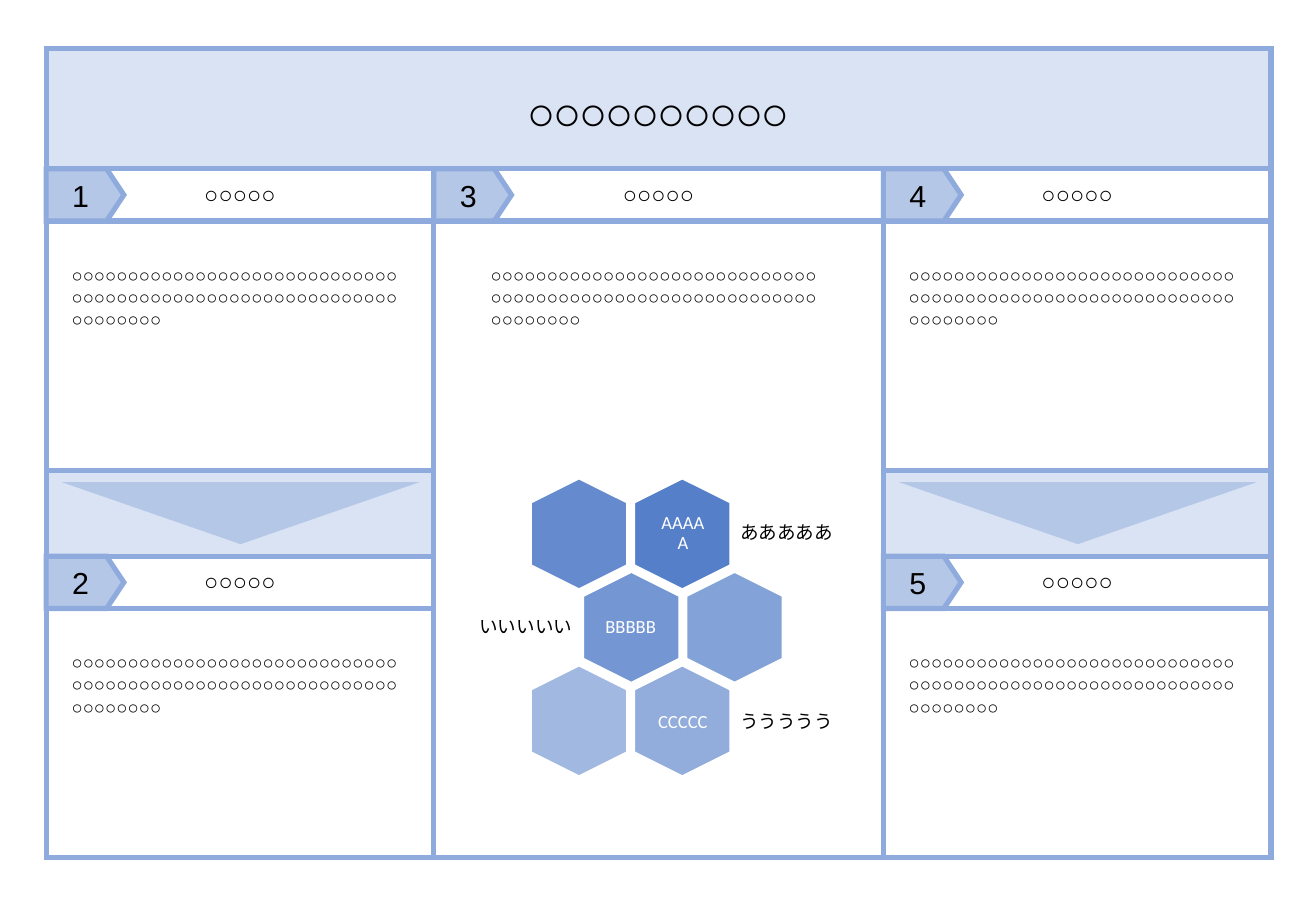
from lxml import etree
from pptx import Presentation
from pptx.dml.color import RGBColor
from pptx.enum.shapes import MSO_SHAPE as Shape
from pptx.enum.text import MSO_ANCHOR as Anchor, MSO_AUTO_SIZE as AutoSize, PP_ALIGN as Align
from pptx.oxml.ns import qn
from pptx.util import Inches, Pt

BLACK = RGBColor(0x00, 0x00, 0x00)
WHITE = RGBColor(0xFF, 0xFF, 0xFF)
PALE = RGBColor(0xDA, 0xE3, 0xF3)
LIGHT = RGBColor(0xB4, 0xC7, 0xE7)
BORDER = RGBColor(0x8F, 0xAA, 0xDC)
BLUE = RGBColor(0x44, 0x72, 0xC4)

LEFT, CENTRE, RIGHT = 0.38, 3.57, 7.27
SIDE_WIDTH, CENTRE_WIDTH = 3.19, 3.7
UPPER, LOWER = 1.39, 4.58
HEADER_HEIGHT, BODY_HEIGHT, BAND_HEIGHT = 0.43, 2.05, 0.71
HEXAGON_WIDTH, HEXAGON_HEIGHT = 0.91, 0.79

HEXAGONS = [
    (5.16, 4, 90), (4.31, 4, 82), (4.74, 4.77, 74),
    (5.59, 4.77, 66), (5.16, 5.54, 58), (4.31, 5.54, 50),
]
HEXAGON_LABELS = [
    ("AAAAA", 5.35, 4.08, "あああああ", 6.04, Align.LEFT),
    ("BBBBB", 4.92, 4.85, "いいいいい", 3.75, Align.RIGHT),
    ("CCCCC", 5.35, 5.63, "ううううう", 6.04, Align.LEFT),
]


def add_block(page, kind, left, top, width, height, fill=None, line=BORDER, weight=3):
    block = page.shapes.add_shape(kind, Inches(left), Inches(top), Inches(width), Inches(height))
    block.shadow.inherit = False
    if fill is None:
        block.fill.background()
    else:
        block.fill.solid()
        block.fill.fore_color.rgb = fill
    if line is None:
        block.line.fill.background()
    else:
        block.line.color.rgb = line
        block.line.width = Pt(weight)
        outline = block.line._get_or_add_ln()
        etree.SubElement(outline, qn("a:miter"), lim="800000")
    return block


def write(box, text, size, align, font="Arial", color=BLACK):
    para = box.text_frame.paragraphs[0]
    para.alignment = align
    span = para.add_run()
    span.text = text
    span.font.size = Pt(size)
    span.font.name = font
    span.font.color.rgb = color
    return span


def add_text(page, text, left, top, width, height, size, align):
    box = page.shapes.add_textbox(Inches(left), Inches(top), Inches(width), Inches(height))
    box.text_frame.word_wrap = True
    box.text_frame.auto_size = AutoSize.SHAPE_TO_FIT_TEXT
    return write(box, text, size, align)


def add_label(page, text, left, top, width, height, align, color):
    box = page.shapes.add_textbox(Inches(left), Inches(top), Inches(width), Inches(height))
    frame = box.text_frame
    frame.word_wrap = True
    frame.vertical_anchor = Anchor.MIDDLE
    frame.margin_left = frame.margin_right = Inches(0.05)
    frame.margin_top = frame.margin_bottom = Inches(0.05)
    write(box, text, 11, align, "Calibri", color)
    frame.paragraphs[0].line_spacing = 0.9


def add_title(page):
    add_block(page, Shape.RECTANGLE, LEFT, 0.4, 10.08, 0.99, PALE)
    span = add_text(page, "○" * 10, 1.54, 0.64, 7.75, 0.57, 28, Align.CENTER)
    span.font.bold = True
    span._r.get_or_add_rPr().set("spc", "-150")


def add_panel(page, number, left, top, width, height, inset):
    body_top = top + HEADER_HEIGHT
    add_block(page, Shape.RECTANGLE, left, body_top, width, height)
    add_block(page, Shape.RECTANGLE, left, top, width, HEADER_HEIGHT)
    add_text(page, "○" * 5, left + width / 2 - 0.71, top + 0.04, 1.42, 0.34, 14, Align.CENTER)
    add_text(page, "○" * 66, left + inset, body_top + 0.3, 2.95, 0.84, 11, Align.JUSTIFY)
    tag = add_block(page, Shape.PENTAGON, left, top, 0.64, HEADER_HEIGHT, LIGHT)
    tag.adjustments[0] = 0.332
    tag.text_frame.vertical_anchor = Anchor.MIDDLE
    write(tag, number, 18, Align.CENTER)


def add_arrow_band(page, left):
    top = UPPER + HEADER_HEIGHT + BODY_HEIGHT
    add_block(page, Shape.RECTANGLE, left, top, SIDE_WIDTH, BAND_HEIGHT, PALE)
    arrow = add_block(page, Shape.ISOSCELES_TRIANGLE, left + 0.13, top + 0.1, 2.94, 0.51, LIGHT, None)
    arrow.rotation = 180


def add_side_column(page, left, upper_number, lower_number):
    add_panel(page, upper_number, left, UPPER, SIDE_WIDTH, BODY_HEIGHT, 0.11)
    add_arrow_band(page, left)
    add_panel(page, lower_number, left, LOWER, SIDE_WIDTH, BODY_HEIGHT, 0.11)


def add_hexagon(page, left, top, opacity):
    hexagon = add_block(page, Shape.HEXAGON, left, top, HEXAGON_WIDTH, HEXAGON_HEIGHT, BLUE, WHITE, 1)
    hexagon.rotation = 90
    hexagon.adjustments[0] = 0.25
    color = hexagon._element.spPr.find(qn("a:solidFill")).find(qn("a:srgbClr"))
    etree.SubElement(color, qn("a:alpha"), val=str(opacity * 1000))


def add_honeycomb(page):
    for left, top, opacity in HEXAGONS:
        add_hexagon(page, left, top, opacity)
    for code, left, top, note, note_left, align in HEXAGON_LABELS:
        add_label(page, code, left, top, 0.54, 0.63, Align.CENTER, WHITE)
        add_label(page, note, note_left, top + 0.04, 1.01, 0.55, align, BLACK)


def main():
    deck = Presentation()
    deck.slide_width = Inches(10.83)
    deck.slide_height = Inches(7.5)
    page = deck.slides.add_slide(deck.slide_layouts[6])
    add_title(page)
    add_panel(page, "3", CENTRE, UPPER, CENTRE_WIDTH, 5.24, 0.37)
    add_side_column(page, LEFT, "1", "2")
    add_honeycomb(page)
    add_side_column(page, RIGHT, "4", "5")
    deck.save("out.pptx")


if __name__ == "__main__":
    main()
